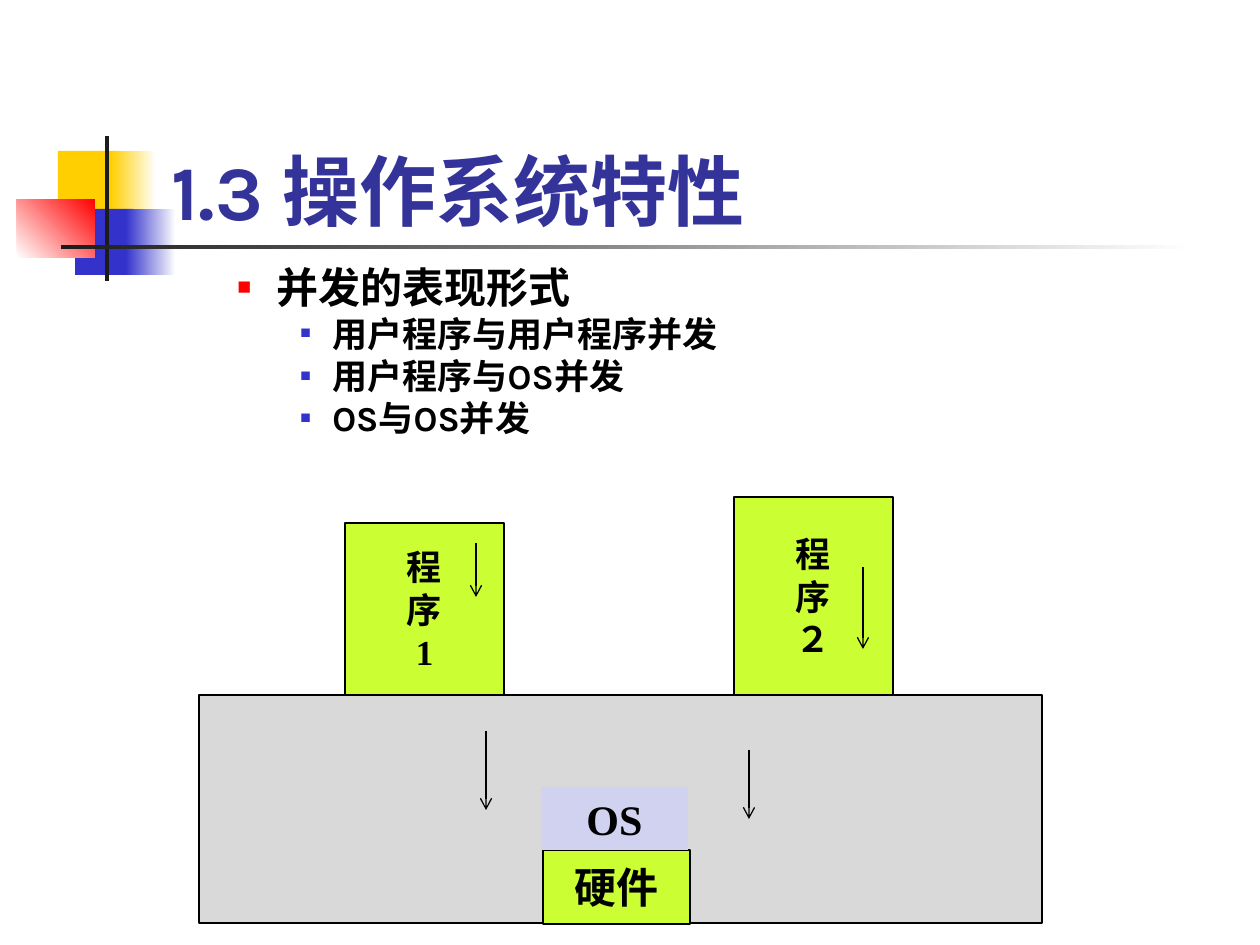
"""Build a slide on the concurrency feature of operating systems."""
from lxml import etree
from pptx import Presentation
from pptx import util as u
from pptx.dml.color import RGBColor
from pptx.enum import lang, shapes, text
from pptx.oxml.ns import qn

EMU_PER_PX = 914400 / 126
BLACK, WHITE, LIME = "000000", "FFFFFF", "CCFF33"
SERIF, SANS = "Times New Roman", "Karla"


def px(*lengths):
    return [u.Emu(round(length * EMU_PER_PX)) for length in lengths]


def color(value):
    return RGBColor.from_string(value)


class SlideBuilder:
    def __init__(self, slide):
        self.slide = slide

    def rectangle(self, box, fill, outline=None):
        shape = self.slide.shapes.add_shape(shapes.MSO_SHAPE.RECTANGLE, *px(*box))
        shape.shadow.inherit = False
        shape.fill.solid()
        shape.fill.fore_color.rgb = color(fill)
        if outline:
            shape.line.color.rgb = color(outline)
            shape.line.width = u.Pt(0.75)
        else:
            shape.line.fill.background()
        return shape

    def gradient(self, box, start, end, angle=0):
        shape = self.rectangle(box, start)
        shape.fill.gradient()
        shape.fill.gradient_angle = angle
        for stop, value in zip(shape.fill.gradient_stops, (start, end)):
            stop.color.rgb = color(value)

    def run(self, paragraph, words, size, font, ink=BLACK):
        run = paragraph.add_run()
        run.text = words
        run.font.size = u.Pt(size)
        run.font.name = font
        run.font.bold = True
        run.font.language_id = lang.MSO_LANGUAGE_ID.SIMPLIFIED_CHINESE
        run.font.color.rgb = color(ink)

    def label(self, box, fill, lines, size, outline=BLACK):
        frame = self.rectangle(box, fill, outline).text_frame
        frame.word_wrap = False
        frame.vertical_anchor = text.MSO_ANCHOR.MIDDLE
        for index, words in enumerate(lines):
            paragraph = frame.add_paragraph() if index else frame.paragraphs[0]
            paragraph.alignment = text.PP_ALIGN.CENTER
            self.run(paragraph, words, size, SERIF)

    def text_box(self, box, anchor):
        frame = self.slide.shapes.add_textbox(*px(*box)).text_frame
        frame.word_wrap = True
        frame.vertical_anchor = anchor
        return frame

    def title(self, box, words):
        frame = self.text_box(box, text.MSO_ANCHOR.BOTTOM)
        self.run(frame.paragraphs[0], words, 44, SANS, "333399")

    def bullet(self, paragraph, ink, percent, left, hanging):
        properties = paragraph._p.get_or_add_pPr()
        margin, indent = px(left, -hanging)
        properties.set("marL", str(margin))
        properties.set("indent", str(indent))
        bullet_color = etree.SubElement(properties, qn("a:buClr"))
        etree.SubElement(bullet_color, qn("a:srgbClr"), val=ink)
        etree.SubElement(properties, qn("a:buSzPct"), val=str(percent * 1000))
        etree.SubElement(properties, qn("a:buFont"), typeface="Arial")
        etree.SubElement(properties, qn("a:buChar"), char="■")

    def outline(self, box, heading, items):
        frame = self.text_box(box, text.MSO_ANCHOR.TOP)
        for index, words in enumerate([heading, *items]):
            paragraph = frame.add_paragraph() if index else frame.paragraphs[0]
            if index:
                self.bullet(paragraph, "3333CC", 50, 158, 32)
                paragraph.level = 2
                paragraph.space_before = u.Pt(5)
            else:
                self.bullet(paragraph, "FF0000", 55, 102, 39)
                paragraph.level = 1
            paragraph.line_spacing = 0.8
            self.run(paragraph, words, 20 if index else 24, SANS)

    def arrow(self, *ends):
        connector = self.slide.shapes.add_connector(
            shapes.MSO_CONNECTOR.STRAIGHT, *px(*ends))
        connector.line.color.rgb = color(BLACK)
        connector.line.width = u.Pt(0.75)
        etree.SubElement(connector.line._get_or_add_ln(), qn("a:tailEnd"), type="arrow")
        etree.SubElement(connector._element.spPr, qn("a:effectLst"))


def main():
    presentation = Presentation()
    presentation.slide_width, presentation.slide_height = px(1260, 945)
    builder = SlideBuilder(presentation.slides.add_slide(presentation.slide_layouts[6]))

    builder.rectangle((58, 151, 60, 66), "FFCF01")
    builder.gradient((111, 151, 45, 66), "FFCF01", WHITE)
    builder.rectangle((75, 209, 58, 66), "3333CC")
    builder.gradient((126, 209, 50, 66), "3333CC", WHITE)
    builder.gradient((17, 199, 78, 59), WHITE, "FF0000", 45)
    builder.rectangle((105, 136, 4, 145), "1C1C1C")
    builder.gradient((61, 245, 1134, 4), "1C1C1C", WHITE)

    builder.title((159, 84, 1074, 158), "1.3 操作系统特性")
    builder.outline((162, 265, 1071, 189), "并发的表现形式",
                    ["用户程序与用户程序并发", "用户程序与OS并发", "OS与OS并发"])

    builder.rectangle((199, 695, 843, 228), "D9D9D9", BLACK)
    builder.label((543, 850, 147, 74), LIME, ["硬件"], 24)
    for left, top, number in ((345, 523, "1"), (734, 497, "２")):
        builder.label((left, top, 159, 695 - top), LIME, ["程", "序", number], 20)
    builder.label((541, 787, 147, 63), "D1D1F0", ["OS"], 24, None)

    for x, top, bottom in ((476, 543, 597), (486, 731, 810),
                           (863, 567, 649), (749, 750, 819)):
        builder.arrow(x, top, x, bottom)

    presentation.save("out.pptx")


if __name__ == "__main__":
    main()
